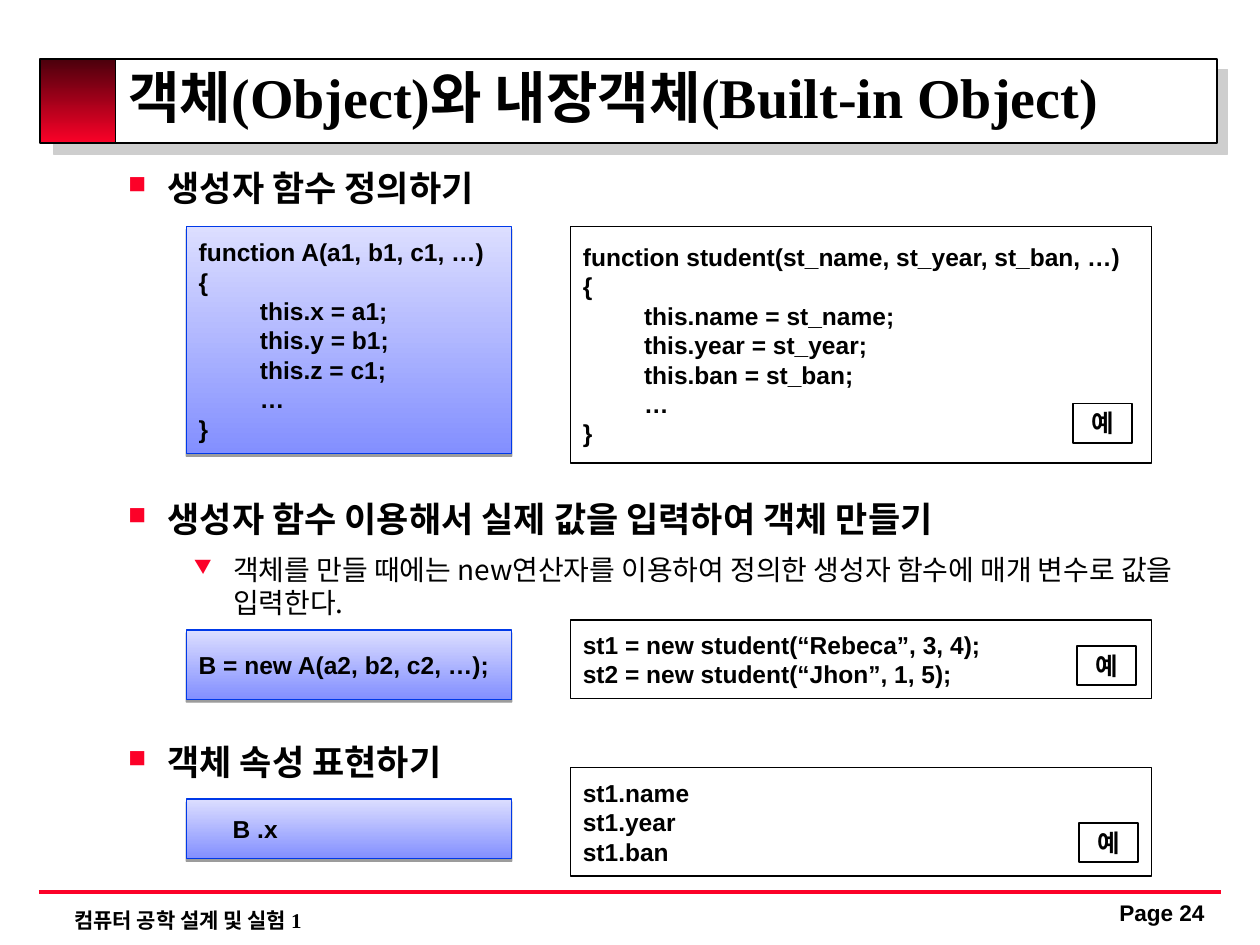
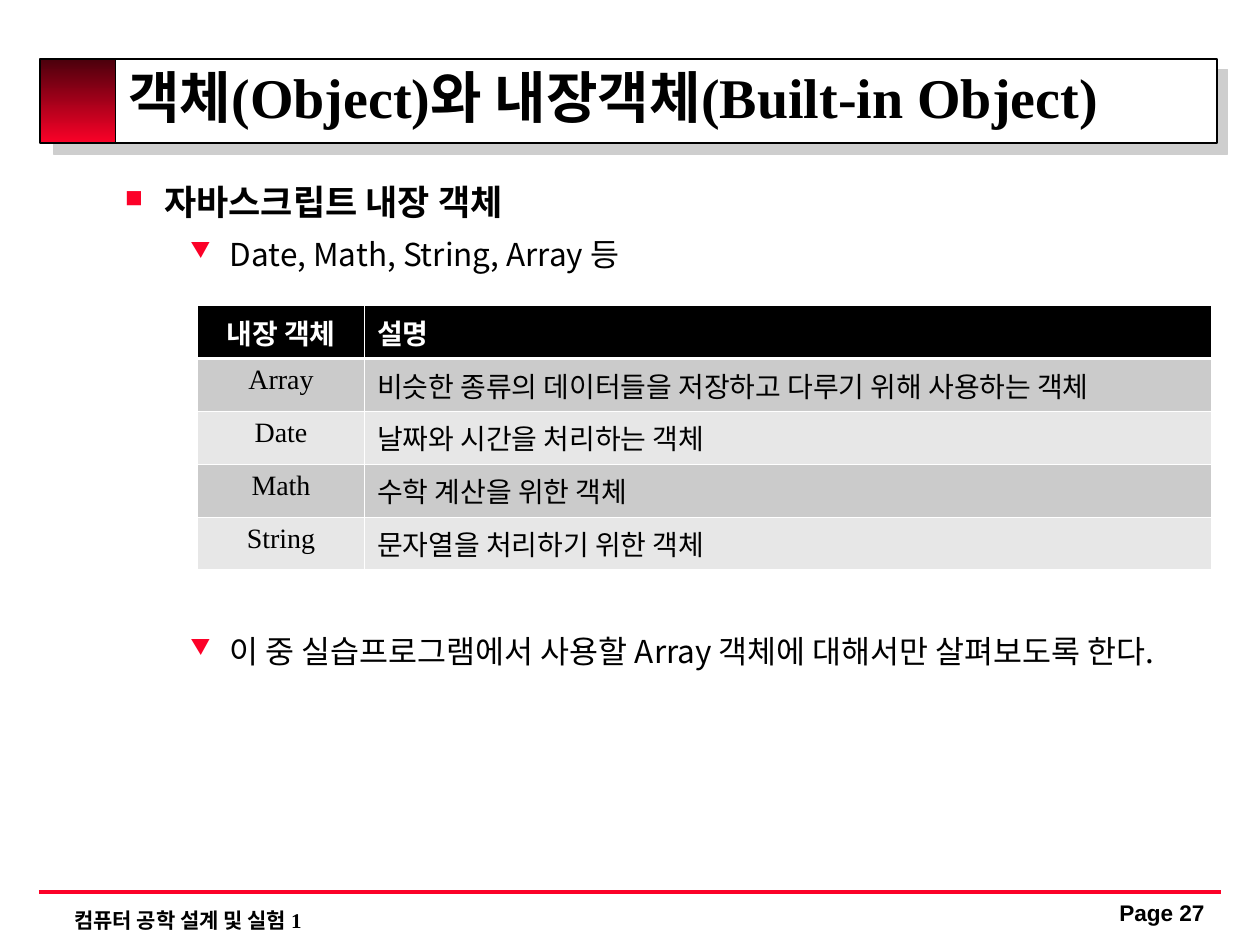
import dataclasses

import lxml.etree
import pptx
import pptx.dml.color
import pptx.enum.shapes
import pptx.enum.text
import pptx.oxml
import pptx.oxml.ns
import pptx.util

Pt = pptx.util.Pt
qn = pptx.oxml.ns.qn
Align = pptx.enum.text.PP_ALIGN
Anchor = pptx.enum.text.MSO_ANCHOR


@dataclasses.dataclass(frozen=True)
class Theme:
    black: str = "000000"
    white: str = "FFFFFF"
    red: str = "FC0128"
    dark_red: str = "4B000C"
    blue_line: str = "0039E8"
    blue: str = "838FFF"
    pale_blue: str = "DCDEFF"
    shadow: str = "CECECE"
    row_fills: tuple = ("CBCBCB", "E7E7E7")
    serif: str = "Times New Roman"
    code_font: str = "Arial"
    korean: str = "Noto Sans CJK KR"
    title_size: float = 32
    heading_size: float = 20
    table_size: float = 16
    code_size: float = 14
    page_size: float = 12.9
    footer_size: float = 12
    line_factor: float = 1.18


class Deck:
    """Draws lecture slides in one style, keeping the theme and the current slide."""

    def __init__(self, theme):
        self.theme = theme
        self.presentation = pptx.Presentation()
        self.presentation.slide_width = Pt(720)
        self.presentation.slide_height = Pt(540)
        self.slide = None

    def color(self, value):
        return pptx.dml.color.RGBColor.from_string(value)

    def element(self, parent, tag, **attributes):
        child = lxml.etree.SubElement(parent, qn(tag))
        for name, value in attributes.items():
            child.set(name, str(value))
        return child

    def cast_shadow(self, effects, color, opacity, distance, angle):
        shadow = self.element(effects, "a:outerShdw", blurRad=0, dist=int(Pt(distance)),
                              dir=angle * 60000, algn="tl", rotWithShape=0)
        shade = self.element(shadow, "a:srgbClr", val=color)
        self.element(shade, "a:alpha", val=opacity * 1000)

    def run(self, paragraph, text, size, font, bold=True, color=None):
        run = paragraph.add_run()
        run.text = text
        run.font.size = Pt(size)
        run.font.bold = bold
        run.font.color.rgb = self.color(color or self.theme.black)
        run.font.name = font
        latin = run.font._element.find(qn("a:latin"))
        east_asian = lxml.etree.Element(qn("a:ea"))
        east_asian.set("typeface", self.theme.korean)
        latin.addnext(east_asian)
        return run

    def text_box(self, left, top, width, height):
        shape = self.slide.shapes.add_textbox(Pt(left), Pt(top), Pt(width), Pt(height))
        shape.text_frame.word_wrap = True
        return shape.text_frame

    def label(self, box, text, size, font, align=Align.LEFT, spacing=1.0):
        frame = self.text_box(*box)
        paragraph = frame.paragraphs[0]
        paragraph.alignment = align
        paragraph.line_spacing = spacing
        return frame, self.run(paragraph, text, size, font)

    def rectangle(self, box, line, weight, fill=None, gradient=None, angle=0):
        shape = self.slide.shapes.add_shape(
            pptx.enum.shapes.MSO_SHAPE.RECTANGLE, *(Pt(value) for value in box))
        if gradient:
            shape.fill.gradient()
            shape.fill.gradient_angle = angle
            for stop, value, position in zip(shape.fill.gradient_stops, gradient, (0, 1)):
                stop.color.rgb = self.color(value)
                stop.position = position
        else:
            shape.fill.solid()
            shape.fill.fore_color.rgb = self.color(fill or self.theme.white)
        shape.line.color.rgb = self.color(line)
        shape.line.width = Pt(weight)
        shape.shadow.inherit = False
        return shape

    def shape_shadow(self, shape, *settings):
        self.cast_shadow(shape._element.spPr.find(qn("a:effectLst")), *settings)

    def fill_text(self, shape, lines, align=Align.LEFT):
        frame = shape.text_frame
        frame.word_wrap = False
        frame.vertical_anchor = Anchor.MIDDLE
        for index, line in enumerate(lines):
            paragraph = frame.add_paragraph() if index else frame.paragraphs[0]
            paragraph.alignment = align
            self.run(paragraph, line, self.theme.code_size, self.theme.code_font)

    def syntax_box(self, top, height, lines):
        theme = self.theme
        shape = self.rectangle((106.5, top, 186, height), theme.blue_line, 0.75,
                               gradient=(theme.blue, theme.pale_blue), angle=90)
        self.shape_shadow(shape, theme.black, 38, 1.6, 90)
        self.fill_text(shape, lines)

    def example_box(self, top, height, lines):
        self.fill_text(self.rectangle((326, top, 332, height), self.theme.black, 0.75), lines)

    def example_tag(self, left, top):
        shape = self.rectangle((left, top, 34, 22.4), self.theme.black, 1)
        self.fill_text(shape, ["예"], Align.CENTER)

    def bullets(self, left, top, height, items):
        theme = self.theme
        frame = self.text_box(left, top, 631.5, height)
        for index, (level, size, space_before, text) in enumerate(items):
            paragraph = frame.add_paragraph() if index else frame.paragraphs[0]
            paragraph.level = level
            properties = paragraph._element.get_or_add_pPr()
            properties.set("marL", str(int(Pt((22.5, 60)[level]))))
            properties.set("indent", str(int(Pt(-22.5))))
            color = self.element(properties, "a:buClr")
            self.element(color, "a:srgbClr", val=theme.red)
            self.element(properties, "a:buSzPct", val=70000)
            self.element(properties, "a:buChar", char="■▼"[level])
            paragraph.line_spacing = Pt(round(size * theme.line_factor, 1))
            if index:
                paragraph.space_before = Pt(space_before)
            self.run(paragraph, text, size, theme.korean, bold=level == 0)

    def cell_borders(self, cell, row_index):
        properties = cell._tc.get_or_add_tcPr()
        thick_side = {0: "B", 1: "T"}.get(row_index)
        for side in "LRTB":
            width = Pt(1.47 if side == thick_side else 0.45)
            line = self.element(properties, f"a:ln{side}", w=int(width))
            fill = self.element(line, "a:solidFill")
            self.element(fill, "a:srgbClr", val=self.theme.white)

    def table(self, left, top, column_widths, row_height, rows):
        theme = self.theme
        table = self.slide.shapes.add_table(
            len(rows), len(column_widths), Pt(left), Pt(top),
            Pt(sum(column_widths)), Pt(row_height * len(rows))).table
        for column, width in zip(table.columns, column_widths):
            column.width = Pt(width)
        for row_index, texts in enumerate(rows):
            table.rows[row_index].height = Pt(row_height)
            header = row_index == 0
            fill = theme.black if header else theme.row_fills[(row_index - 1) % 2]
            for column_index, text in enumerate(texts):
                cell = table.cell(row_index, column_index)
                self.cell_borders(cell, row_index)
                cell.fill.solid()
                cell.fill.fore_color.rgb = self.color(fill)
                paragraph = cell.text_frame.paragraphs[0]
                paragraph.alignment = Align.LEFT if column_index else Align.CENTER
                self.run(paragraph, text, theme.table_size, theme.serif, header,
                         theme.white if header else theme.black)

    def rule(self, left, right, top):
        line = self.slide.shapes.add_connector(
            pptx.enum.shapes.MSO_CONNECTOR.STRAIGHT, Pt(left), Pt(top), Pt(right), Pt(top))
        line.line.color.rgb = self.color(self.theme.red)
        line.line.width = Pt(2.25)
        self.element(line._element.spPr, "a:effectLst")

    def title(self, text):
        theme = self.theme
        frame, run = self.label((66.2, 31.7, 631.5, 54), text, theme.title_size,
                                theme.serif, spacing=0.8)
        frame.vertical_anchor = Anchor.MIDDLE
        effects = lxml.etree.Element(qn("a:effectLst"))
        run.font._element.find(qn("a:latin")).addprevious(effects)
        self.cast_shadow(effects, theme.shadow, 100, 2, 45)

    def new_slide(self, title, page):
        theme = self.theme
        self.slide = self.presentation.slides.add_slide(self.presentation.slide_layouts[6])
        band = self.rectangle((24.5, 33.8, 671, 48.2), theme.black, 1)
        self.shape_shadow(band, theme.shadow, 100, 8.5, 45)
        self.rectangle((23, 33.8, 43, 48.2), theme.black, 1,
                       gradient=(theme.dark_red, theme.red), angle=270)
        self.label((35.3, 514.8, 481, 21.6), "컴퓨터 공학 설계 및 실험 1",
                   theme.footer_size, theme.serif)
        self.rule(22.3, 697.7, 509.8)
        self.title(title)
        self.label((625, 512, 77.8, 23.8), f"Page {page}", theme.page_size,
                   theme.code_font, Align.CENTER, 0.9)


def code_block(signature, *statements):
    return [signature, "{", *(" " * 9 + statement for statement in statements), "}"]


def constructor_slide(deck, title):
    heading = deck.theme.heading_size
    deck.new_slide(title, 24)
    deck.bullets(66.2, 92, 382, [
        (0, heading, 0, "생성자 함수 정의하기"),
        (0, heading, 165.6, "생성자 함수 이용해서 실제 값을 입력하여 객체 만들기"),
        (1, 16, 7.8, "객체를 만들 때에는 new연산자를 이용하여 정의한 생성자 함수에 "
                     "매개 변수로 값을 입력한다."),
        (0, heading, 69.7, "객체 속성 표현하기"),
    ])
    deck.syntax_box(129.6, 129.6, code_block(
        "function A(a1, b1, c1, …)",
        "this.x = a1;", "this.y = b1;", "this.z = c1;", "…"))
    deck.example_box(129.6, 135, code_block(
        "function student(st_name, st_year, st_ban, …)",
        "this.name = st_name;", "this.year = st_year;", "this.ban = st_ban;", "…"))
    deck.syntax_box(360, 39.6, ["B = new A(a2, b2, c2, …);"])
    deck.example_box(354.4, 44.8, ["st1 = new student(“Rebeca”, 3, 4);",
                                   "st2 = new student(“Jhon”, 1, 5);"])
    deck.syntax_box(456.6, 34, ["     B .x"])
    deck.example_box(438.6, 62, ["st1.name", "st1.year", "st1.ban"])
    for left, top in ((613, 230.6), (615.3, 369), (616.5, 470.2)):
        deck.example_tag(left, top)


def built_in_slide(deck, title):
    deck.new_slide(title, 27)
    deck.bullets(64.3, 100, 412, [
        (0, deck.theme.heading_size, 0, "자바스크립트 내장 객체"),
        (1, 18, 7.3, "Date, Math, String, Array 등"),
        (1, 18, 205.7, "이 중 실습프로그램에서 사용할 Array 객체에 대해서만 살펴보도록 한다."),
    ])
    deck.table(112.8, 174.6, (95.6, 483.6), 30.2, [
        ("내장 객체", "설명"),
        ("Array", "비슷한 종류의 데이터들을 저장하고 다루기 위해 사용하는 객체"),
        ("Date", "날짜와 시간을 처리하는 객체"),
        ("Math", "수학 계산을 위한 객체"),
        ("String", "문자열을 처리하기 위한 객체"),
    ])


def main():
    deck = Deck(Theme())
    title = "객체(Object)와 내장객체(Built-in Object)"
    constructor_slide(deck, title)
    built_in_slide(deck, title)
    deck.presentation.save("out.pptx")


if __name__ == "__main__":
    main()
